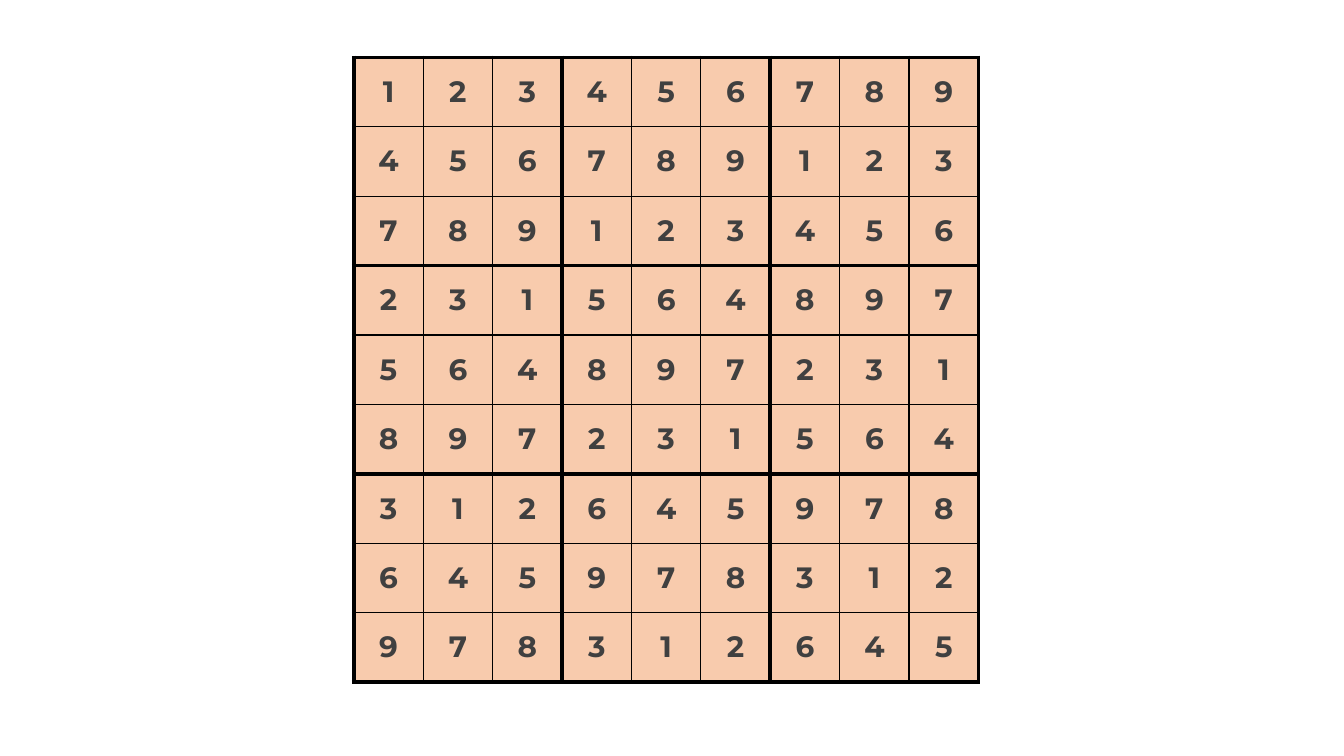
import pptx
import pptx.dml.color
import pptx.enum.text
import pptx.oxml.ns
import pptx.util
from lxml import etree

Pt = pptx.util.Pt
COLOURS = {"cell": "F8CBAD", "digit": "404040", "line": "000000"}
FONT = "Montserrat"
THICK, THIN = 3, 1
BLOCK = 3
CELL_SIDE = 49.6
GRID_LEFT, GRID_TOP = 252.7, 41
SUDOKU = [
    "123456789",
    "456789123",
    "789123456",
    "231564897",
    "564897231",
    "897231564",
    "312645978",
    "645978312",
    "978312645",
]


def colour(name):
    return pptx.dml.color.RGBColor.from_string(COLOURS[name])


def add_border(cell, side, width):
    qn = pptx.oxml.ns.qn
    properties = cell._tc.get_or_add_tcPr()
    line = etree.SubElement(properties, qn("a:ln" + side), w=str(Pt(width)))
    fill = etree.SubElement(line, qn("a:solidFill"))
    etree.SubElement(fill, qn("a:srgbClr"), val=COLOURS["line"])
    etree.SubElement(line, qn("a:prstDash"), val="solid")


def add_borders(cell, row, column):
    block_edges = {
        "L": column % BLOCK == 0,
        "R": column % BLOCK == BLOCK - 1,
        "T": row % BLOCK == 0,
        "B": row % BLOCK == BLOCK - 1,
    }
    for side, on_edge in block_edges.items():
        add_border(cell, side, THICK if on_edge else THIN)


def add_digit(cell, digit):
    cell.vertical_anchor = pptx.enum.text.MSO_ANCHOR.MIDDLE
    cell.margin_left = cell.margin_right = Pt(8.64)
    cell.margin_top = cell.margin_bottom = Pt(4.32)
    para = cell.text_frame.paragraphs[0]
    para.alignment = pptx.enum.text.PP_ALIGN.CENTER
    span = para.add_run()
    span.text = digit
    span.font.name = FONT
    span.font.size = Pt(21)
    span.font.bold = True
    span.font.color.rgb = colour("digit")


def add_sudoku(page, digits):
    count = len(digits)
    side = Pt(CELL_SIDE * count)
    table = page.shapes.add_table(
        count, count, Pt(GRID_LEFT), Pt(GRID_TOP), side, side
    ).table
    table.first_row = False
    table.horz_banding = False
    for column in table.columns:
        column.width = Pt(CELL_SIDE)
    for row in table.rows:
        row.height = Pt(CELL_SIDE)
    for row, line in enumerate(digits):
        for column, digit in enumerate(line):
            cell = table.cell(row, column)
            add_borders(cell, row, column)
            cell.fill.solid()
            cell.fill.fore_color.rgb = colour("cell")
            add_digit(cell, digit)


def main():
    deck = pptx.Presentation()
    deck.slide_width, deck.slide_height = Pt(960), Pt(540)
    page = deck.slides.add_slide(deck.slide_layouts[6])
    add_sudoku(page, SUDOKU)
    deck.save("out.pptx")


main()
